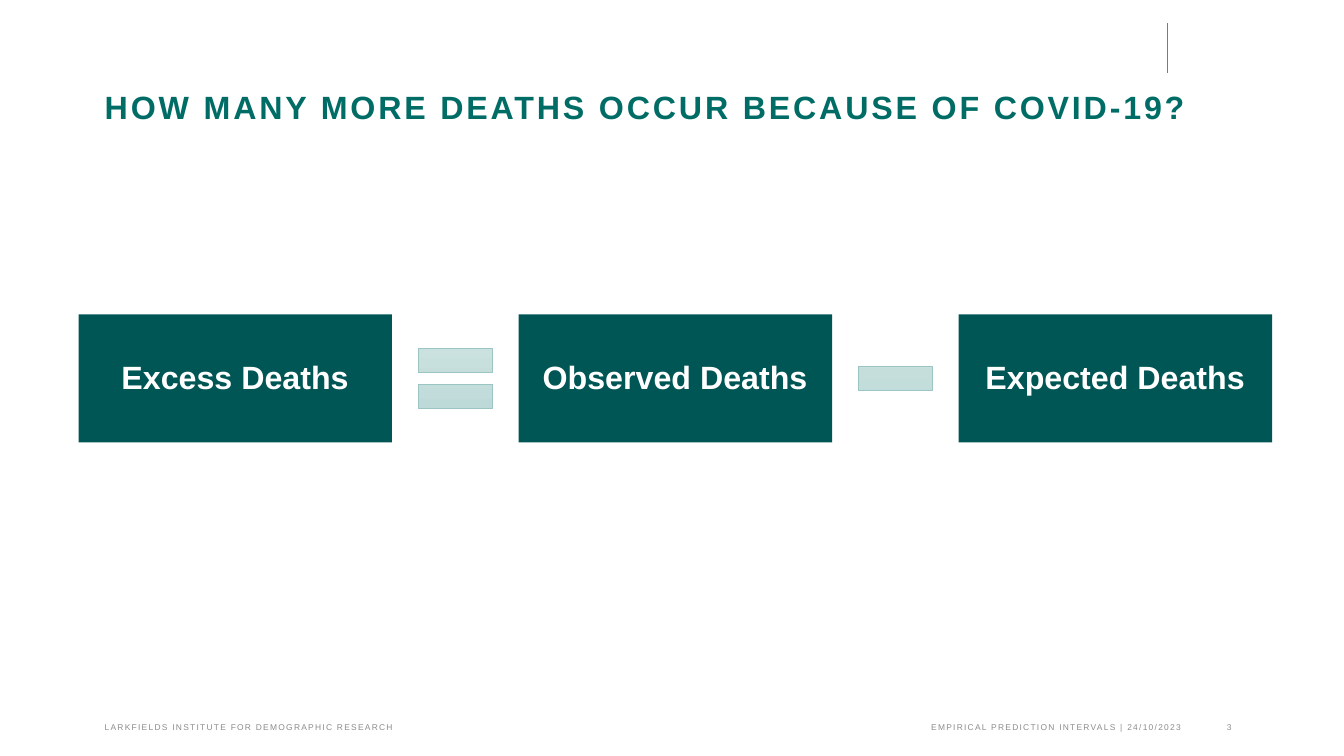
"""Builds the slide that defines excess deaths as observed minus expected deaths."""
from lxml import etree
from pptx import Presentation
from pptx.dml.color import RGBColor
from pptx.enum.shapes import MSO_CONNECTOR, MSO_SHAPE
from pptx.enum.text import MSO_ANCHOR, PP_ALIGN
from pptx.oxml.ns import qn
from pptx.util import Cm, Pt

RECTANGLE = MSO_SHAPE.RECTANGLE
EQUAL, MINUS = MSO_SHAPE.MATH_EQUAL, MSO_SHAPE.MATH_MINUS
STRAIGHT = MSO_CONNECTOR.STRAIGHT
TOP, MIDDLE, BOTTOM = MSO_ANCHOR.TOP, MSO_ANCHOR.MIDDLE, MSO_ANCHOR.BOTTOM
CENTER = PP_ALIGN.CENTER

TITLE = "HOW MANY MORE DEATHS OCCUR BECAUSE OF COVID-19?"
TERMS = ["Excess Deaths", "Observed Deaths", "Expected Deaths"]
SIGNS = [EQUAL, MINUS]
FOOTER = [
    "LARKFIELDS INSTITUTE FOR DEMOGRAPHIC RESEARCH",
    " EMPIRICAL PREDICTION INTERVALS | 24/10/2023",
    "3",
]
FOOTER_TABS = [27.15, 28.4]

THEME = {
    "font": "Arial",
    "title": "006C66", "box": "005555", "box_text": "FFFFFF",
    "sign_start": "CEE3E1", "sign_end": "BAD8D6", "sign_line": "9AC5C2",
    "footer": "8C8C8C", "rule": "7D7A7A",
    "large": 23, "small": 6, "hairline": 0.5,
}

SLIDE_WIDTH, SLIDE_HEIGHT = 33.87, 19.05
MARGIN, TEXT_WIDTH = 2.64, 28.6
BOX_LEFT, BOX_TOP, BOX_WIDTH, BOX_HEIGHT = 1.98, 7.92, 7.9, 3.23
BOX_GAP, SIGN_SIZE = 3.19, 2.54
RULE_X, RULE_TOP, RULE_BOTTOM = 29.41, 0.58, 1.85


def color(name):
    return RGBColor.from_string(THEME[name])


def set_frame(frame, anchor, insets=(0, 0, 0, 0), wrap=True):
    frame.word_wrap = wrap
    frame.vertical_anchor = anchor
    frame.margin_left, frame.margin_top, frame.margin_right, frame.margin_bottom = map(Cm, insets)
    return frame.paragraphs[0]


def add_run(paragraph, text, size, color_name, bold=False, spacing=0):
    run = paragraph.add_run()
    run.text = text
    run.font.name = THEME["font"]
    run.font.size = Pt(THEME[size])
    run.font.bold = bold
    run.font.color.rgb = color(color_name)
    if spacing:
        run.font._element.set("spc", str(round(spacing * 100)))


def add_text_box(slide, top, height):
    return slide.shapes.add_textbox(Cm(MARGIN), Cm(top), Cm(TEXT_WIDTH), Cm(height)).text_frame


def add_title(slide):
    paragraph = set_frame(add_text_box(slide, 2.26, 3.56), TOP)
    paragraph.line_spacing = Pt(26)
    paragraph.space_after = Pt(18)
    add_run(paragraph, TITLE, "large", "title", bold=True, spacing=2)


def add_term(slide, left, label):
    shape = slide.shapes.add_shape(RECTANGLE, Cm(left), Cm(BOX_TOP), Cm(BOX_WIDTH), Cm(BOX_HEIGHT))
    shape.shadow.inherit = False
    shape.fill.solid()
    shape.fill.fore_color.rgb = color("box")
    shape.line.fill.background()
    paragraph = set_frame(shape.text_frame, MIDDLE, (0.4, 0.3, 0.4, 0.4))
    paragraph.alignment = CENTER
    paragraph.space_before = Pt(11.5)
    add_run(paragraph, label, "large", "box_text", bold=True)


def add_sign(slide, left, kind):
    top = BOX_TOP + (BOX_HEIGHT - SIGN_SIZE) / 2
    shape = slide.shapes.add_shape(kind, Cm(left), Cm(top), Cm(SIGN_SIZE), Cm(SIGN_SIZE))
    shape.shadow.inherit = False
    shape.fill.gradient()
    shape.fill.gradient_angle = 270
    for stop, name in zip(shape.fill.gradient_stops, ("sign_start", "sign_end")):
        stop.color.rgb = color(name)
    shape.line.color.rgb = color("sign_line")
    shape.line.width = Pt(THEME["hairline"])


def add_equation(slide):
    pitch = BOX_WIDTH + BOX_GAP
    for index, label in enumerate(TERMS):
        add_term(slide, BOX_LEFT + index * pitch, label)
    first_sign = BOX_LEFT + BOX_WIDTH + (BOX_GAP - SIGN_SIZE) / 2
    for index, kind in enumerate(SIGNS):
        add_sign(slide, first_sign + index * pitch, kind)


def add_footer(slide):
    paragraph = set_frame(add_text_box(slide, 17.93, 0.51), BOTTOM, wrap=False)
    tab_list = etree.SubElement(paragraph._p.get_or_add_pPr(), qn("a:tabLst"))
    for position in FOOTER_TABS:
        etree.SubElement(tab_list, qn("a:tab"), pos=str(Cm(position)), algn="r")
    add_run(paragraph, "\t".join(FOOTER), "small", "footer", spacing=0.9)


def add_rule(slide):
    connector = slide.shapes.add_connector(
        STRAIGHT, Cm(RULE_X), Cm(RULE_TOP), Cm(RULE_X), Cm(RULE_BOTTOM))
    connector.line.color.rgb = color("rule")
    connector.line.width = Pt(THEME["hairline"])
    etree.SubElement(connector._element.spPr, qn("a:effectLst"))


def main():
    presentation = Presentation()
    presentation.slide_width = Cm(SLIDE_WIDTH)
    presentation.slide_height = Cm(SLIDE_HEIGHT)
    slide = presentation.slides.add_slide(presentation.slide_layouts[6])
    add_title(slide)
    add_equation(slide)
    add_footer(slide)
    add_rule(slide)
    presentation.save("out.pptx")


if __name__ == "__main__":
    main()
